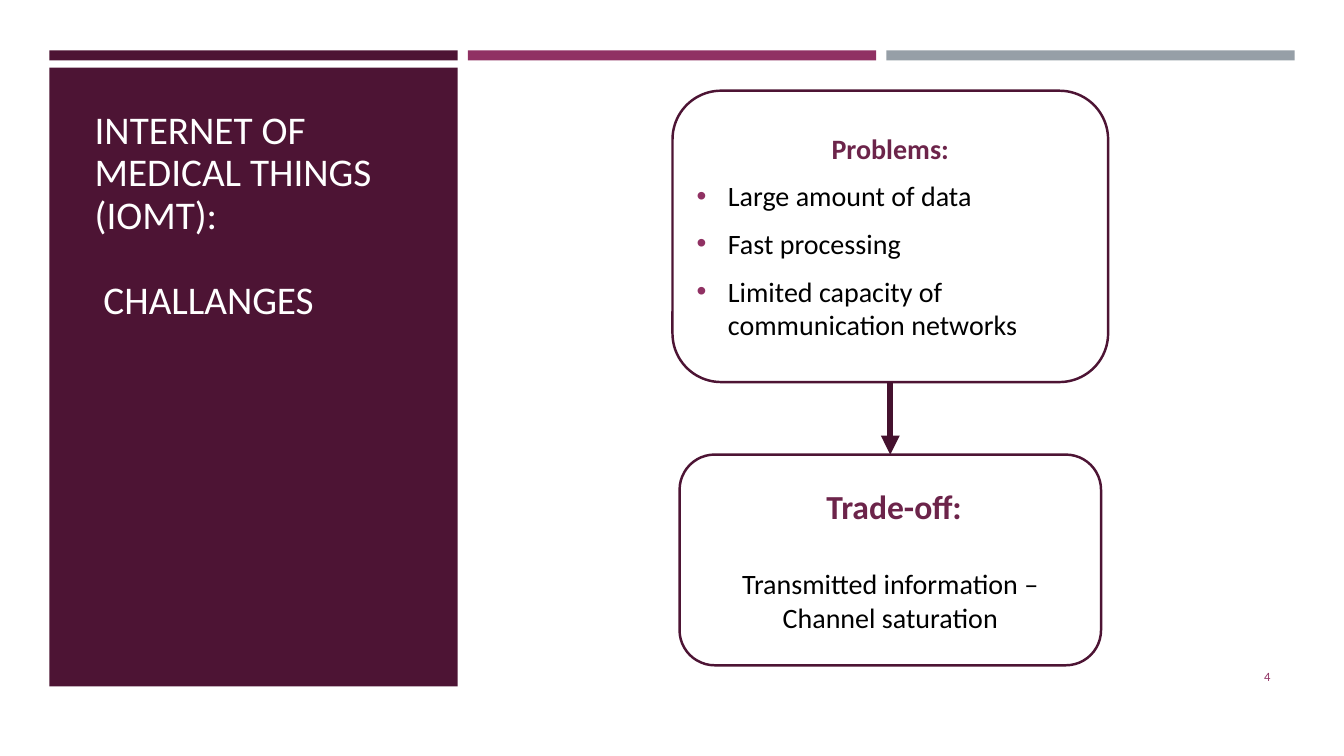
from lxml import etree
from pptx import Presentation
from pptx.dml.color import RGBColor
from pptx.enum.shapes import MSO_CONNECTOR, MSO_SHAPE
from pptx.enum.text import MSO_ANCHOR, PP_ALIGN
from pptx.oxml.ns import qn
from pptx.util import Inches, Pt

RECT, ROUND = MSO_SHAPE.RECTANGLE, MSO_SHAPE.ROUNDED_RECTANGLE
LEFT, MID, RIGHT = PP_ALIGN.LEFT, PP_ALIGN.CENTER, PP_ALIGN.RIGHT
TOP, CENTER, BOTTOM = MSO_ANCHOR.TOP, MSO_ANCHOR.MIDDLE, MSO_ANCHOR.BOTTOM
WIDE, HIGH = 13.33, 7.5
FONT = "Calibri"
WHITE, BLACK = "FFFFFF", "000000"
DARK, PLUM, PINK, GREY, ARROW = "4D1434", "6C244A", "903163", "969FA7", "45112E"

# Each line of text: words, size, colour, and only the settings that differ
TITLE = [
    ("INTERNET OF MEDICAL THINGS (IOMT):", 28, WHITE, {"space": 0.9}),
    (" CHALLANGES", 28, WHITE, {"space": 0.9, "before": 30.5}),
]
ITEMS = ["Large amount of data", "Fast processing",
         "Limited capacity of communication networks"]
PROBLEMS = [("Problems:", 20, PLUM, {"bold": True, "align": MID})]
PROBLEMS += [(item, 20, BLACK, {"before": 10, "bullet": PINK}) for item in ITEMS]
TRADE = [
    (" Trade-off:", 24, PLUM, {"bold": True, "align": MID}),
    ("Transmitted information – Channel saturation", 20, BLACK,
     {"align": MID, "before": 29}),
]
NUMBER = [("4", 9, PINK, {"align": RIGHT})]

# Three columns across the top
EDGE, COL, GAP = 0.49, 4.05, 0.1
BARS = [DARK, PINK, GREY]
BAR_TOP, BAR_HIGH = 0.5, 0.1
PANEL_TOP, PANEL_HIGH = 0.67, 6.14

# Flow of boxes down one axis: words, width, height
AXIS, FLOW_TOP, FLOW_GAP = 8.83, 0.9, 0.72
FLOW = [(PROBLEMS, 4.32, 2.89), (TRADE, 4.18, 2.09)]


def color(code):
    return RGBColor.from_string(code)


def add_bullet(par, code):
    props = par._p.get_or_add_pPr()
    props.set("marL", str(Inches(0.31)))
    props.set("indent", str(-Inches(0.31)))
    tint = etree.SubElement(props, qn("a:buClr"))
    etree.SubElement(tint, qn("a:srgbClr"), val=code)
    etree.SubElement(props, qn("a:buFont"), typeface="Arial")
    etree.SubElement(props, qn("a:buChar"), char="•")


def write(shape, lines, anchor):
    frame = shape.text_frame
    frame.word_wrap = True
    frame.vertical_anchor = anchor
    frame.text = "\n".join(line[0] for line in lines)
    for par, (_, size, code, opts) in zip(frame.paragraphs, lines):
        par.alignment = opts.get("align", LEFT)
        par.line_spacing = opts.get("space", 1.0)
        par.space_before = Pt(opts.get("before", 0))
        if "bullet" in opts:
            add_bullet(par, opts["bullet"])
        font = par.runs[0].font
        font.name, font.size = FONT, Pt(size)
        font.bold = opts.get("bold", False)
        font.color.rgb = color(code)


def add_box(slide, kind, place, fill, line=None):
    box = slide.shapes.add_shape(kind, *map(Inches, place))
    box.shadow.inherit = False
    box.fill.solid()
    box.fill.fore_color.rgb = color(fill)
    if line:
        box.line.color.rgb = color(line)
        box.line.width = Pt(1.75)
    else:
        box.line.fill.background()
    return box


def add_text(slide, place, lines, anchor):
    write(slide.shapes.add_textbox(*map(Inches, place)), lines, anchor)


def add_arrow(slide, x, top, end):
    arrow = slide.shapes.add_connector(
        MSO_CONNECTOR.STRAIGHT, *map(Inches, (x, top, x, end)))
    arrow.line.color.rgb = color(ARROW)
    arrow.line.width = Pt(4.5)
    etree.SubElement(arrow.line._get_or_add_ln(), qn("a:tailEnd"), type="triangle")
    etree.SubElement(arrow._element.spPr, qn("a:effectLst"))


def main():
    deck = Presentation()
    deck.slide_width, deck.slide_height = Inches(WIDE), Inches(HIGH)
    slide = deck.slides.add_slide(deck.slide_layouts[6])
    slide.background.fill.solid()
    slide.background.fill.fore_color.rgb = color(WHITE)

    add_box(slide, RECT, (EDGE, PANEL_TOP, COL, PANEL_HIGH), DARK)
    add_text(slide, (0.84, 0.9, 3.22, 2.35), TITLE, BOTTOM)
    for i, code in enumerate(BARS):
        add_box(slide, RECT, (EDGE + i * (COL + GAP), BAR_TOP, COL, BAR_HIGH), code)

    top = FLOW_TOP
    for i, (lines, wide, high) in enumerate(FLOW):
        if i:
            add_arrow(slide, AXIS, top - FLOW_GAP, top)
        box = add_box(slide, ROUND, (AXIS - wide / 2, top, wide, high), WHITE, DARK)
        write(box, lines, CENTER)
        top += high + FLOW_GAP

    add_text(slide, (11.55, 6.51, 1.15, 0.4), NUMBER, CENTER)
    deck.save("out.pptx")


if __name__ == "__main__":
    main()
